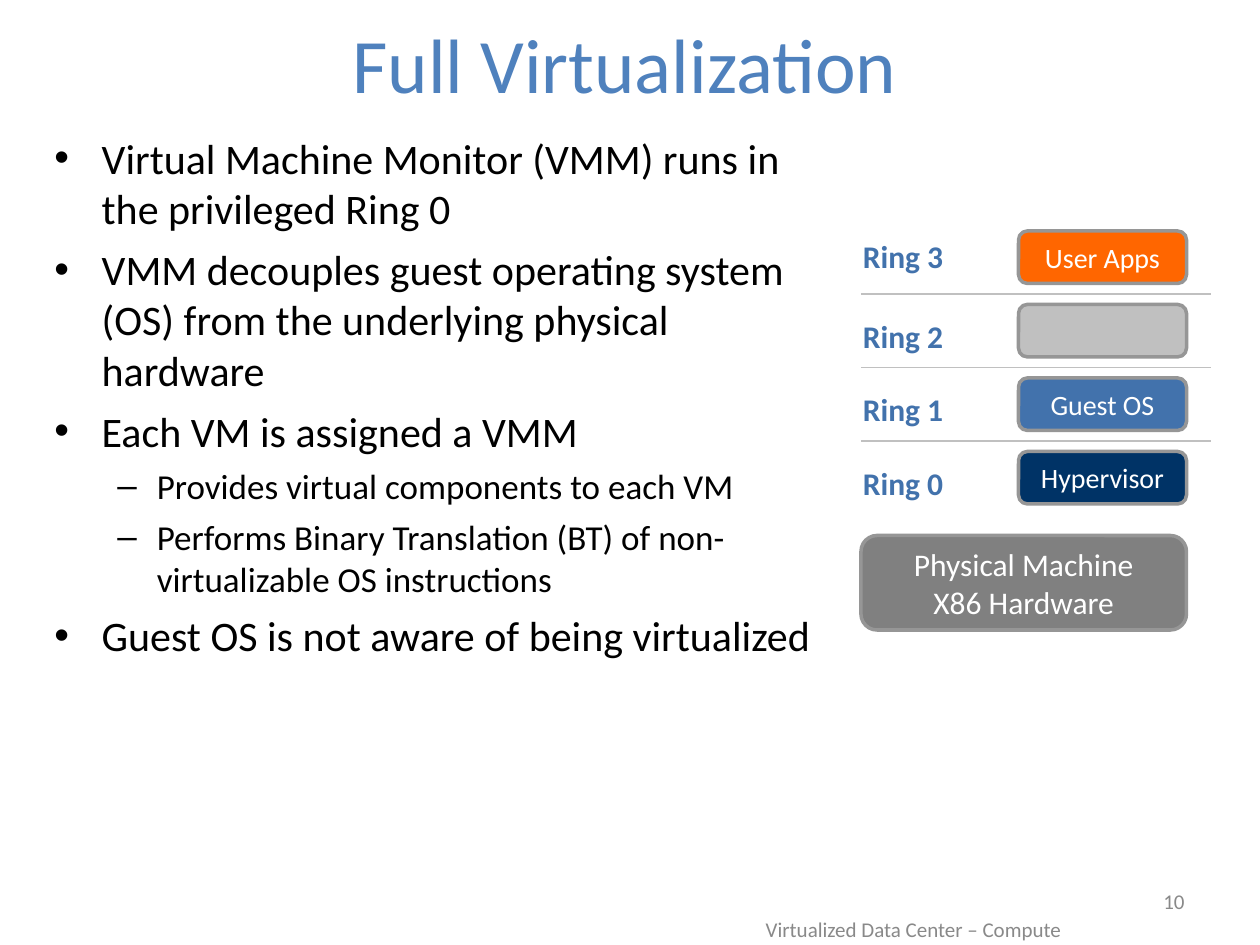
from lxml import etree
from pptx import Presentation
from pptx.dml.color import RGBColor
from pptx.enum.shapes import MSO_CONNECTOR, MSO_SHAPE
from pptx.enum.text import MSO_ANCHOR, MSO_AUTO_SIZE, PP_ALIGN
from pptx.oxml.ns import qn
from pptx.util import Pt

ROUNDED = MSO_SHAPE.ROUNDED_RECTANGLE
STRAIGHT = MSO_CONNECTOR.STRAIGHT
TOP, MIDDLE = MSO_ANCHOR.TOP, MSO_ANCHOR.MIDDLE
LEFT, CENTER, RIGHT = PP_ALIGN.LEFT, PP_ALIGN.CENTER, PP_ALIGN.RIGHT
FIXED = MSO_AUTO_SIZE.NONE

BLACK = RGBColor(0x00, 0x00, 0x00)
WHITE = RGBColor(0xFF, 0xFF, 0xFF)
TITLE_BLUE = RGBColor(0x4F, 0x81, 0xBD)
RING_BLUE = RGBColor(0x42, 0x72, 0xAC)
NAVY = RGBColor(0x00, 0x33, 0x66)
ORANGE = RGBColor(0xFF, 0x66, 0x00)
SILVER = RGBColor(0xC0, 0xC0, 0xC0)
BORDER_GRAY = RGBColor(0x96, 0x96, 0x96)
MACHINE_GRAY = RGBColor(0x80, 0x80, 0x80)
FOOTER_GRAY = RGBColor(0x89, 0x89, 0x89)

BULLET_LEVELS = [
    {"mark": "•", "size": 24, "indent": 27, "hanging": 27, "before": 6},
    {"mark": "–", "size": 20, "indent": 58.5, "hanging": 22.5, "before": 5},
]
BULLETS = [
    (0, "Virtual Machine Monitor (VMM) runs in the privileged Ring 0"),
    (0, "VMM decouples guest operating system (OS) from the underlying physical hardware"),
    (0, "Each VM is assigned a VMM"),
    (1, "Provides virtual components to each VM"),
    (1, "Performs Binary Translation (BT) of non-virtualizable OS instructions"),
    (0, "Guest OS is not aware of being virtualized"),
]
RINGS = [
    ("Ring 3", 132, "User Apps", ORANGE),
    ("Ring 2", 177.6, "", SILVER),
    ("Ring 1", 219.6, "Guest OS", RING_BLUE),
    ("Ring 0", 261.6, "Hypervisor", NAVY),
]
RING_TOP, RING_PITCH = 132, 42
STACK_LEFT = 492


class SlideBuilder:
    font_name = "Calibri"

    def __init__(self, page):
        self.page = page

    def add_span(self, para, text, size, color, bold=False):
        span = para.add_run()
        span.text = text
        font_format = {"name": self.font_name, "size": Pt(size), "bold": bold}
        for name, value in font_format.items():
            setattr(span.font, name, value)
        span.font.color.rgb = color

    def fill_frame(self, box, lines, size, color, align=LEFT, anchor=MIDDLE,
                   wrap=True, bold=False):
        frame = box.text_frame
        frame_format = {"word_wrap": wrap, "auto_size": FIXED, "vertical_anchor": anchor}
        for name, value in frame_format.items():
            setattr(frame, name, value)
        for index, line in enumerate(lines):
            para = frame.add_paragraph() if index else frame.paragraphs[0]
            para.alignment = align
            self.add_span(para, line, size, color, bold)

    def title(self, text, left, top, width, height):
        box = self.page.shapes.title
        place = {"left": left, "top": top, "width": width, "height": height}
        for name, value in place.items():
            setattr(box, name, Pt(value))
        self.fill_frame(box, [text], 44, TITLE_BLUE, CENTER)

    def text_box(self, left, top, width, height):
        return self.page.shapes.add_textbox(Pt(left), Pt(top), Pt(width), Pt(height))

    def label(self, text, place, size, color, **style):
        self.fill_frame(self.text_box(*place), [text], size, color, **style)

    def bullet_list(self, items, place):
        frame = self.text_box(*place).text_frame
        frame.word_wrap = True
        for index, (depth, text) in enumerate(items):
            level = BULLET_LEVELS[depth]
            para = frame.add_paragraph() if index else frame.paragraphs[0]
            para.level = depth
            if index:
                para.space_before = Pt(level["before"])
            properties = para._p.get_or_add_pPr()
            properties.set("marL", str(Pt(level["indent"])))
            properties.set("indent", str(-Pt(level["hanging"])))
            etree.SubElement(properties, qn("a:buFont"), typeface="Arial")
            etree.SubElement(properties, qn("a:buChar"), char=level["mark"])
            self.add_span(para, text, level["size"], BLACK)

    def block(self, lines, left, top, width, height, fill, size):
        box = self.page.shapes.add_shape(ROUNDED, Pt(left), Pt(top), Pt(width), Pt(height))
        box.adjustments[0] = 0.17
        box.shadow.inherit = False
        box.fill.solid()
        box.fill.fore_color.rgb = fill
        box.line.color.rgb = BORDER_GRAY
        box.line.width = Pt(2)
        self.fill_frame(box, lines, size, WHITE, CENTER, wrap=False)

    def divider(self, left, right, top):
        line = self.page.shapes.add_connector(STRAIGHT, Pt(left), Pt(top), Pt(right), Pt(top))
        line.line.color.rgb = SILVER
        line.line.width = Pt(0.75)
        etree.SubElement(line._element.spPr, qn("a:effectLst"))


def main():
    deck = Presentation()
    deck.slide_width, deck.slide_height = Pt(720), Pt(540)
    builder = SlideBuilder(deck.slides.add_slide(deck.slide_layouts[5]))

    builder.title("Full Virtualization", 24, 6, 666, 60)
    builder.bullet_list(BULLETS, (24, 72, 456, 390))
    builder.label("Virtualized Data Center – Compute", (366, 522, 312, 18),
                  12, FOOTER_GRAY, align=CENTER)
    builder.label("10", (516, 500.4, 168, 28.8), 12, FOOTER_GRAY, align=RIGHT)

    for index, (ring, label_top, content, color) in enumerate(RINGS):
        top = RING_TOP + index * RING_PITCH
        builder.block([content] if content else [], 582, top, 96, 30, color, 16)
        builder.label(ring, (486, label_top, 66, 28.8), 18, RING_BLUE,
                      anchor=TOP, bold=True)
        if index:
            builder.divider(STACK_LEFT, 692, top - 6)
    builder.block(["Physical Machine", "X86 Hardware"], STACK_LEFT, 306, 186, 54,
                  MACHINE_GRAY, 18)

    deck.save("out.pptx")


if __name__ == "__main__":
    main()
